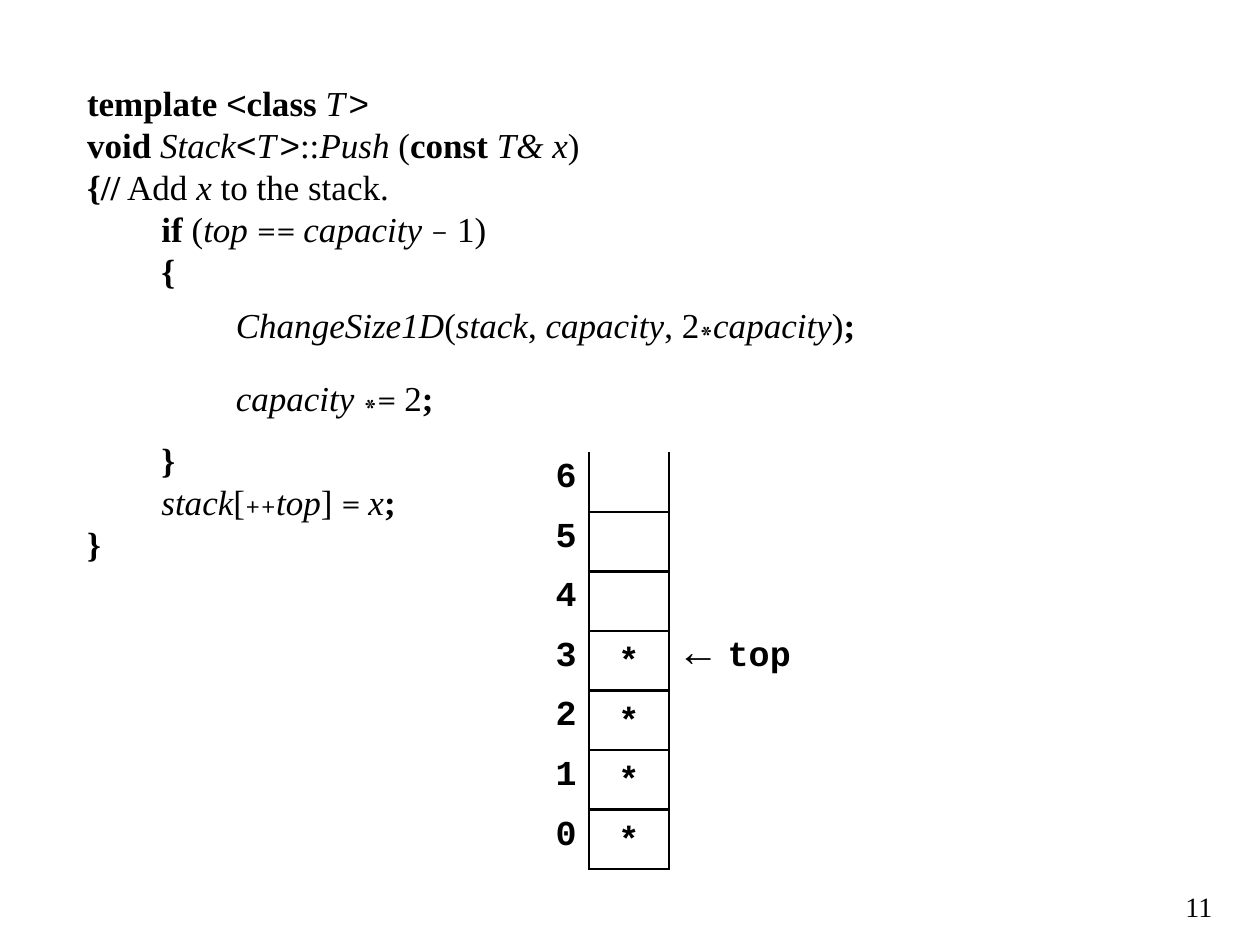
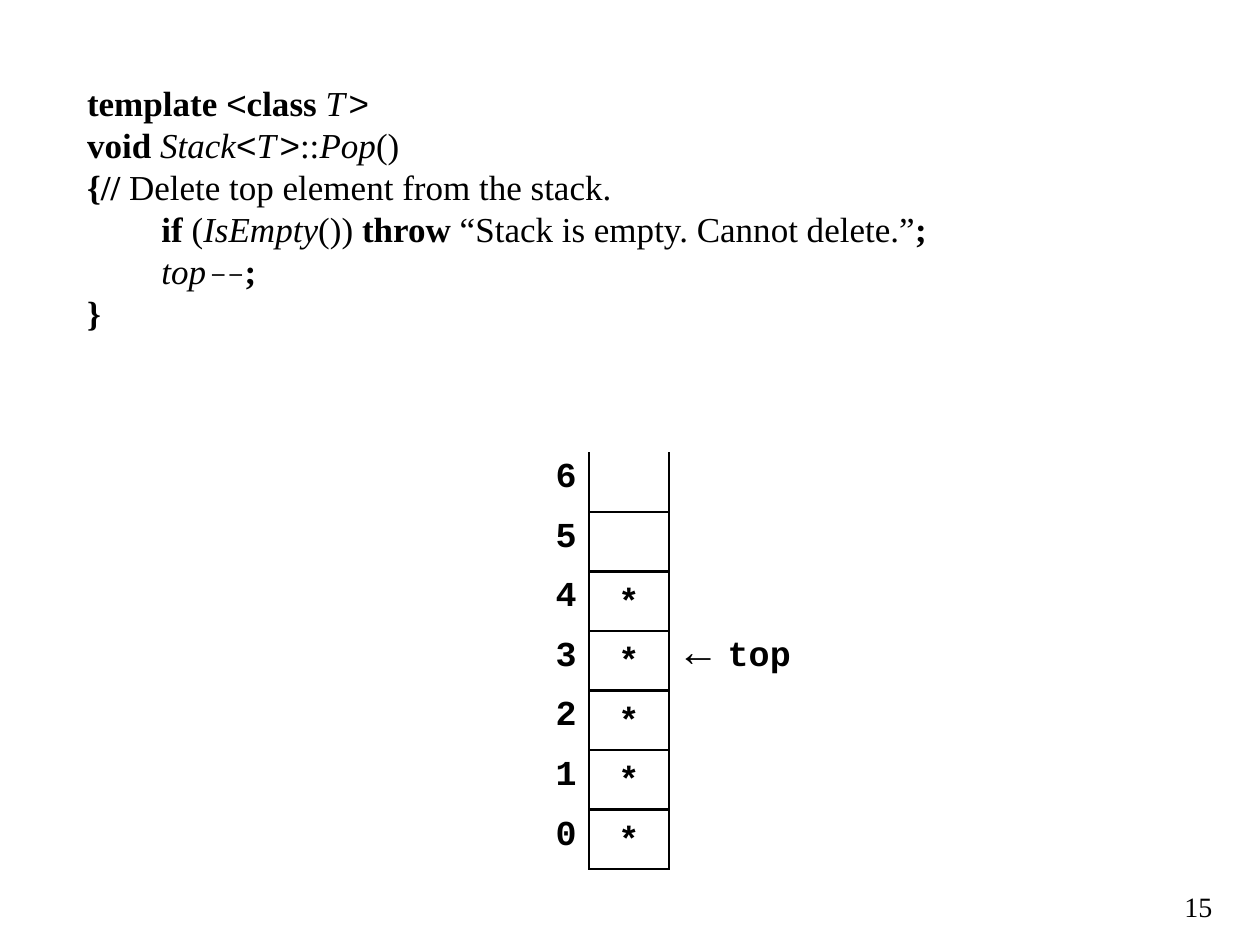
from lxml import etree
from pptx import Presentation
from pptx import util as u
from pptx.dml.color import RGBColor
from pptx.enum import text
from pptx.oxml.ns import qn

INK = {"text": "000000", "rule": "000000"}
SERIF, MONO, MATH = "Times New Roman", "Courier New", "Cambria"
STYLES = {
    "n": {},
    "b": {"bold": True},
    "i": {"italic": True},
    "t": {"italic": True, "spc": 200},
    "a": {"name": "Arial"},
    "c": {"name": MATH},
    "m": {"name": MATH, "size": 18},
    "p": {"name": MATH, "size": 16},
    "s": {"name": MATH, "size": 32, "baseline": -18000},
}
SLOTS = 7
COLS = (1.19, 1.6, 1.19, 1.6)
SIDES = ("R", "LRTB", "L", "")
STACK = (10.69, 9.12, sum(COLS), 8.4)
FOOT = (23.5, 17.93, 1.19, 0.81)

HEAD = [
    (0, 0, [("b", "template "), ("a", "<"), ("b", "class "), ("t", "T"), ("a", ">")]),
]
OWNER = [("b", "void "), ("i", "Stack"), ("a", "<"), ("t", "T"), ("a", ">"), ("n", "::")]
END = [(0, 0, [("b", "}")])]
PUSH = HEAD + [
    (0, 0, OWNER + [("i", "Push "), ("n", "("), ("b", "const "), ("i", "T& x"), ("n", ")")]),
    (0, 0, [("b", "{//"), ("n", " Add "), ("i", "x"), ("n", " to the stack.")]),
    (1, 0, [("b", "if"), ("n", " ("), ("i", "top "), ("c", "== "), ("i", "capacity "),
            ("m", "−"), ("n", " 1)")]),
    (1, 0, [("b", "{")]),
    (2, 12, [("i", "ChangeSize1D"), ("n", "("), ("i", "stack"), ("n", ", "),
             ("i", "capacity"), ("n", ", 2"), ("s", "*"), ("i", "capacity"),
             ("n", ")"), ("b", ";")]),
    (2, 18, [("i", "capacity "), ("s", "*"), ("c", "= "), ("n", "2"), ("b", ";")]),
    (1, 6, [("b", "}")]),
    (1, 0, [("i", "stack"), ("n", "["), ("p", "++"), ("i", "top"), ("n", "] "),
            ("c", "= "), ("i", "x"), ("b", ";")]),
] + END
POP = HEAD + [
    (0, 0, OWNER + [("i", "Pop"), ("n", "()")]),
    (0, 0, [("b", "{//"), ("n", " Delete top element from the stack.")]),
    (1, 0, [("b", "if"), ("n", " ("), ("i", "IsEmpty"), ("n", "()) "), ("b", "throw"),
            ("n", " “Stack is empty. Cannot delete.”"), ("b", ";")]),
    (1, 0, [("i", "to"), ("t", "p"), ("m", "−−"), ("b", ";")]),
] + END
PAGES = [
    {"code": PUSH, "box": (1.5, 1.52, 16.41, 8.81), "count": 4, "top": 3, "page": "11"},
    {"code": POP, "box": (1.5, 1.52, 17.6, 5.61), "count": 5, "top": 3, "page": "15"},
]


def put(item, **vals):
    """Set each named attribute on an object."""
    for key, val in vals.items():
        setattr(item, key, val)


def write(para, words, **style):
    """Add a run in the given style, serif 20 pt by default."""
    look = {"name": SERIF, "size": 20, "bold": False, "italic": False} | style
    run = para.add_run()
    run.text = words
    for key in ("spc", "baseline"):
        if key in look:
            run._r.get_or_add_rPr().set(key, str(look.pop(key)))
    look["size"] = u.Pt(look["size"])
    put(run.font, **look)
    run.font.color.rgb = RGBColor.from_string(INK["text"])


def add_code(slide, box, lines):
    """Fill the body placeholder with indented lines of code."""
    body = slide.placeholders[1]
    put(body, **dict(zip(("left", "top", "width", "height"), map(u.Cm, box))))
    frame = body.text_frame
    put(frame, word_wrap=True, auto_size=text.MSO_AUTO_SIZE.NONE)
    for num, (level, gap, runs) in enumerate(lines):
        para = frame.add_paragraph() if num else frame.paragraphs[0]
        props = para._p.get_or_add_pPr()
        props.set("marL", str(u.Cm(1.5 * level)))
        props.set("indent", "0")
        etree.SubElement(props, qn("a:buNone"))
        put(para, line_spacing=u.Pt(24), space_before=u.Pt(gap), space_after=u.Pt(0))
        for style, words in runs:
            write(para, words, **STYLES[style])


def rule(cell, sides):
    """Draw the named sides of a cell and clear its other sides and fill."""
    props = cell._tc.get_or_add_tcPr()
    for side in "LRTB":
        line = etree.SubElement(props, qn(f"a:ln{side}"), w=str(u.Pt(1.5)))
        if side in sides:
            fill = etree.SubElement(line, qn("a:solidFill"))
            etree.SubElement(fill, qn("a:srgbClr"), val=INK["rule"])
        else:
            etree.SubElement(line, qn("a:noFill"))
    cell.fill.background()


def fill_cell(cell, words, align, size=20, **pads):
    """Write bold monospaced text in a cell."""
    put(cell, **{f"margin_{side}": u.Cm(pad) for side, pad in pads.items()})
    para = cell.text_frame.paragraphs[0]
    para.alignment = align
    write(para, words, name=MONO, size=size, bold=True)


def add_stack(slide, box, count, top):
    """Draw the numbered stack with its filled slots and top mark."""
    table = slide.shapes.add_table(SLOTS, len(COLS), *map(u.Cm, box)).table
    put(table, first_row=False, horz_banding=False)
    for col, width in zip(table.columns, COLS):
        col.width = u.Cm(width)
    for row in table.rows:
        row.height = u.Cm(box[3] / SLOTS)
    way = text.PP_ALIGN
    for num in range(SLOTS):
        slot = SLOTS - 1 - num
        cells = table.rows[num].cells
        for cell, sides in zip(cells, SIDES):
            rule(cell, sides if num else sides.replace("T", ""))
        fill_cell(cells[0], str(slot), way.RIGHT)
        if slot < count:
            fill_cell(cells[1], "*", way.CENTER, top=0.25, bottom=0)
        if slot == top:
            fill_cell(cells[2], "←", way.CENTER, size=24, top=0, bottom=0.1)
            fill_cell(cells[3], "top", way.LEFT, left=0)


def add_page(slide, box, page):
    """Write the page number in the corner."""
    frame = slide.shapes.add_textbox(*map(u.Cm, box)).text_frame
    put(frame, word_wrap=True, vertical_anchor=text.MSO_ANCHOR.BOTTOM)
    para = frame.paragraphs[0]
    para.alignment = text.PP_ALIGN.RIGHT
    write(para, page, size=16)


def add_slide(deck, data):
    """Build one slide of code beside its stack."""
    slide = deck.slides.add_slide(deck.slide_layouts[1])
    title = slide.shapes.title.element
    title.getparent().remove(title)
    add_code(slide, data["box"], data["code"])
    add_page(slide, FOOT, data["page"])
    add_stack(slide, STACK, data["count"], data["top"])


def main():
    """Build and save the deck."""
    deck = Presentation()
    put(deck, slide_width=u.Cm(25.4), slide_height=u.Cm(19.05))
    for data in PAGES:
        add_slide(deck, data)
    deck.save("out.pptx")


if __name__ == "__main__":
    main()
